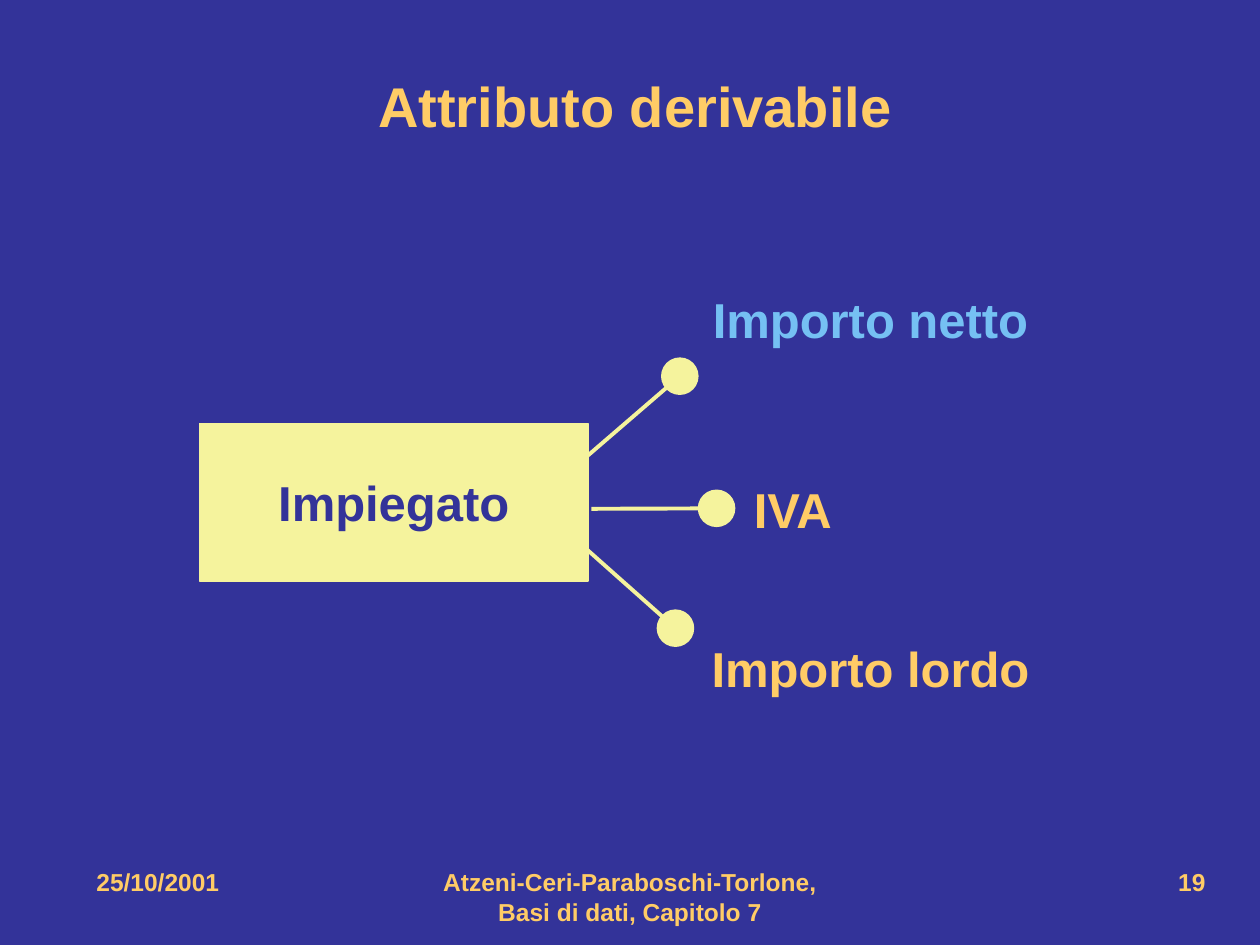
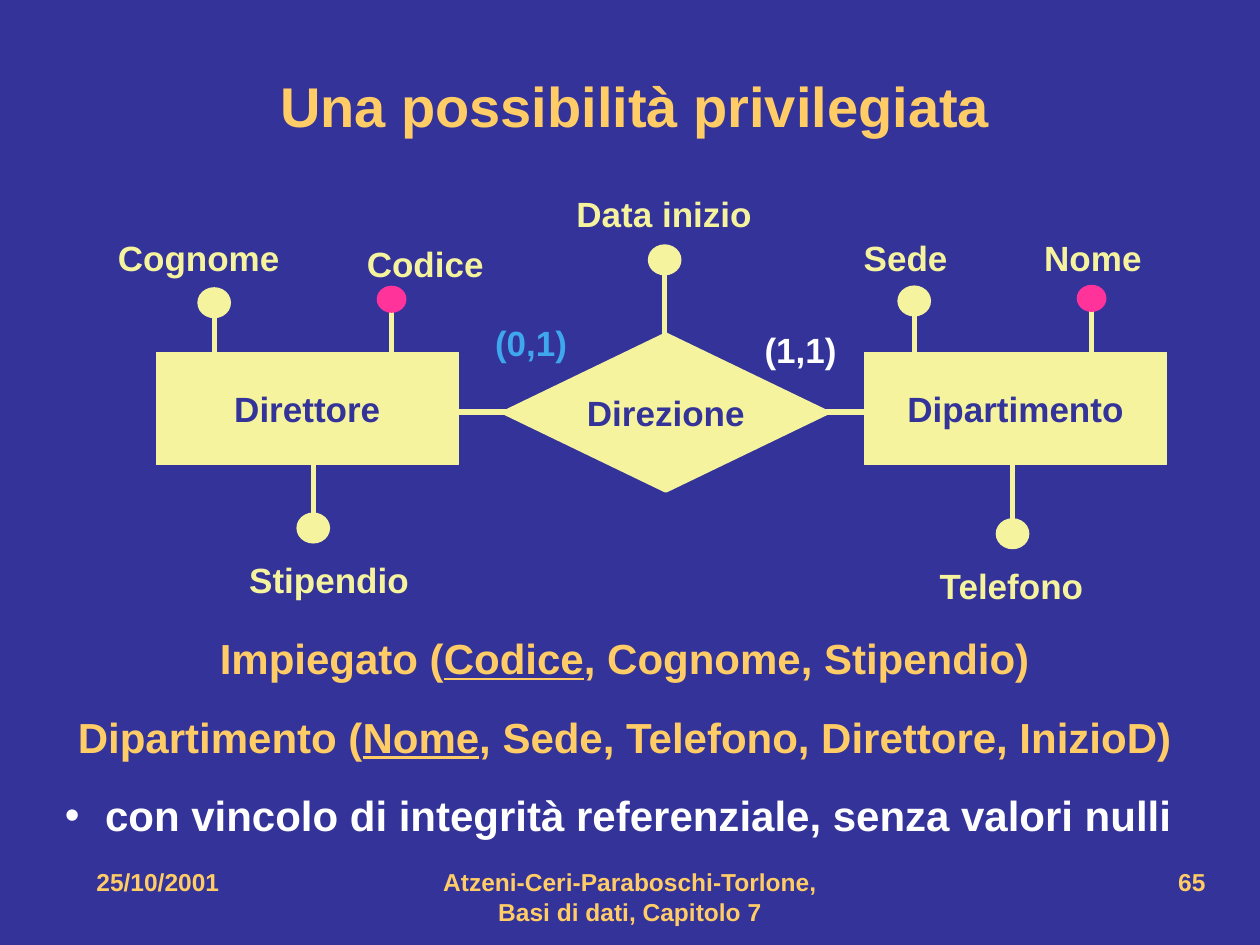
"""Build two entity-relationship slides with a shared title and footer."""
from lxml import etree
from pptx import Presentation
from pptx.dml.color import RGBColor
from pptx.enum.shapes import MSO_CONNECTOR, MSO_SHAPE
from pptx.enum.text import MSO_ANCHOR, PP_ALIGN
from pptx.oxml.ns import qn
from pptx.util import Pt

LEFT, CENTER, RIGHT = PP_ALIGN.LEFT, PP_ALIGN.CENTER, PP_ALIGN.RIGHT
TOP, MIDDLE = MSO_ANCHOR.TOP, MSO_ANCHOR.MIDDLE
RECTANGLE, DIAMOND, OVAL = MSO_SHAPE.RECTANGLE, MSO_SHAPE.DIAMOND, MSO_SHAPE.OVAL
STRAIGHT = MSO_CONNECTOR.STRAIGHT
FONT = "Arial"
COLORS = {
    "background": "333399",
    "gold": "FFCC66",
    "cream": "F5F39D",
    "key": "FF3399",
    "sky": "75C0F3",
    "azure": "3EA7EE",
    "white": "FFFFFF",
}
TITLE_BOX = (36, 18, 654, 84)
DATE_BOX = (48, 492, 156, 36)
SOURCE_BOX = (246, 492, 228, 36)
NUMBER_BOX = (516, 492, 180, 36)


def rgb(name):
    """Return the named colour."""
    return RGBColor.from_string(COLORS[name])


def add_span(para, text, size, color, underline=False):
    """Append one bold run to a paragraph."""
    span = para.add_run()
    span.text = text
    span.font.name = FONT
    span.font.size = Pt(size)
    span.font.bold = True
    span.font.underline = underline
    span.font.color.rgb = rgb(color)


def add_text(page, box, text, size, color, align=CENTER, anchor=TOP, wrap=True):
    """Add a text box holding one run."""
    frame = page.shapes.add_textbox(*map(Pt, box)).text_frame
    frame.word_wrap = wrap
    frame.vertical_anchor = anchor
    frame.paragraphs[0].alignment = align
    add_span(frame.paragraphs[0], text, size, color)


def add_figure(page, kind, box, color, line_width=0):
    """Add a flat shape in one colour."""
    figure = page.shapes.add_shape(kind, *map(Pt, box))
    figure.shadow.inherit = False
    figure.fill.solid()
    figure.fill.fore_color.rgb = rgb(color)
    if line_width:
        figure.line.color.rgb = rgb(color)
        figure.line.width = Pt(line_width)
    else:
        figure.line.fill.background()
    return figure


def add_node(page, kind, box, name, size, line_width=0.75):
    """Add an entity or a relationship with its name inside."""
    frame = add_figure(page, kind, box, "cream", line_width).text_frame
    frame.word_wrap = False
    frame.vertical_anchor = MIDDLE
    frame.paragraphs[0].alignment = CENTER
    add_span(frame.paragraphs[0], name, size, "background")


def add_line(page, start, end, width):
    """Add a plain straight line."""
    line = page.shapes.add_connector(STRAIGHT, *map(Pt, (*start, *end)))
    line.line.color.rgb = rgb("cream")
    line.line.width = Pt(width)
    etree.SubElement(line._element.spPr, qn("a:effectLst"))


def add_attribute(page, start, dot, dot_size, dot_color, line_width):
    """Draw an attribute stem that ends in a dot centred on the given point."""
    width, height = dot_size
    add_line(page, start, dot, line_width)
    box = (dot[0] - width / 2, dot[1] - height / 2, width, height)
    add_figure(page, OVAL, box, dot_color)


def add_label(page, center, top, text, size, color):
    """Add a one-line label centred on a horizontal position."""
    width, height = 7 * size, 1.15 * size + 8
    add_text(page, (center - width / 2, top, width, height), text, size, color, wrap=False)


def add_page(deck, title, number):
    """Add a page with background, title and footer."""
    page = deck.slides.add_slide(deck.slide_layouts[6])
    page.background.fill.solid()
    page.background.fill.fore_color.rgb = rgb("background")
    add_text(page, TITLE_BOX, title, 32, "gold", anchor=MIDDLE)
    footer = (
        (DATE_BOX, "25/10/2001", LEFT),
        (SOURCE_BOX, "Atzeni-Ceri-Paraboschi-Torlone, Basi di dati, Capitolo 7", CENTER),
        (NUMBER_BOX, str(number), RIGHT),
    )
    for box, text, align in footer:
        add_text(page, box, text, 14, "gold", align)
    return page


def draw_employee(page, left, top):
    """Draw one entity with three attributes on its right."""
    add_node(page, RECTANGLE, (left, top + 80, 222, 90), "Impiegato", 28)
    attributes = (
        ("Importo netto", "sky", (220, 100), (274.5, 53), 383.5, 0),
        ("IVA", "gold", (224, 128.75), (295.5, 128.5), 339, 108.5),
        ("Importo lordo", "gold", (218, 149), (272, 197), 383.5, 199.5),
    )
    for name, color, start, dot, label_x, label_y in attributes:
        start = (left + start[0], top + start[1])
        dot = (left + dot[0], top + dot[1])
        add_attribute(page, start, dot, (21.5, 21.5), "cream", 2.25)
        add_label(page, left + label_x, top + label_y, name, 28, color)


def draw_management(page, left, top):
    """Draw two entities joined by a relationship, with their attributes."""
    axis, entity_top, entity_bottom = top + 129.5, 95.5, 159.5
    add_line(page, (left + 190, axis), (left + 445, axis), 3)
    for name, x in (("Direttore", 29.25), ("Dipartimento", 434)):
        add_node(page, RECTANGLE, (left + x, top + entity_top, 172.75, 64), name, 20)
    add_node(page, DIAMOND, (left + 228.75, top + 85.5, 183.5, 88.5), "Direzione", 20, 3)

    attributes = (
        ("Cognome", 62.4, entity_top, 67, 53.5, 25.75, False),
        ("Codice", 163.8, entity_top, 65, 183, 28.75, True),
        ("Data inizio", 319.8, 90, 42.5, 319.5, 0.5, False),
        ("Sede", 462.4, entity_top, 66, 457.5, 25.75, False),
        ("Nome", 563.8, entity_top, 64.5, 564.5, 25.75, True),
        ("Stipendio", 119, entity_bottom, 195.75, 128, 209.5, False),
        ("Telefono", 518.6, entity_bottom, 199, 518, 213, False),
    )
    for name, x, edge, dot_y, label_x, label_y, is_key in attributes:
        size, color = ((17, 15.5), "key") if is_key else ((19.25, 17.75), "cream")
        add_attribute(page, (left + x, top + edge), (left + x, top + dot_y), size, color, 3)
        add_label(page, left + label_x, top + label_y, name, 20, "cream")

    for text, x, y, color in (("(0,1)", 243.5, 74, "azure"), ("(1,1)", 397.5, 78, "white")):
        add_label(page, left + x, top + y, text, 20, color)


def add_bullet(para, indent):
    """Give a paragraph a white bullet and a hanging indent."""
    properties = para._p.get_or_add_pPr()
    properties.set("marL", str(Pt(indent)))
    properties.set("indent", str(-Pt(indent)))
    color = etree.SubElement(properties, qn("a:buClr"))
    etree.SubElement(color, qn("a:srgbClr"), val=COLORS["white"])
    etree.SubElement(properties, qn("a:buFont"), typeface=FONT)
    etree.SubElement(properties, qn("a:buChar"), char="•")


def write_schema(page, box):
    """Write the relations with underlined keys and the closing remark."""
    frame = page.shapes.add_textbox(*map(Pt, box)).text_frame
    frame.word_wrap = True
    relations = (
        ("Impiegato (", "Codice", ", Cognome, Stipendio)"),
        ("Dipartimento (", "Nome", ", Sede, Telefono, Direttore, InizioD)"),
    )
    para = frame.paragraphs[0]
    for before, key, after in relations:
        para.alignment = CENTER
        add_span(para, before, 24, "gold")
        add_span(para, key, 24, "gold", underline=True)
        add_span(para, after, 24, "gold")
        para = frame.add_paragraph()
        para.space_before = Pt(16)
    add_bullet(para, 23)
    add_span(para, "con vincolo di integrità referenziale, senza valori nulli", 24, "white")


def main():
    """Build and save the deck."""
    deck = Presentation()
    deck.slide_width, deck.slide_height = Pt(720), Pt(540)
    draw_employee(add_page(deck, "Attributo derivabile", 19), 114, 162)
    page = add_page(deck, "Una possibilità privilegiata", 65)
    draw_management(page, 60, 106)
    write_schema(page, (30, 358, 654, 124))
    deck.save("out.pptx")


if __name__ == "__main__":
    main()
